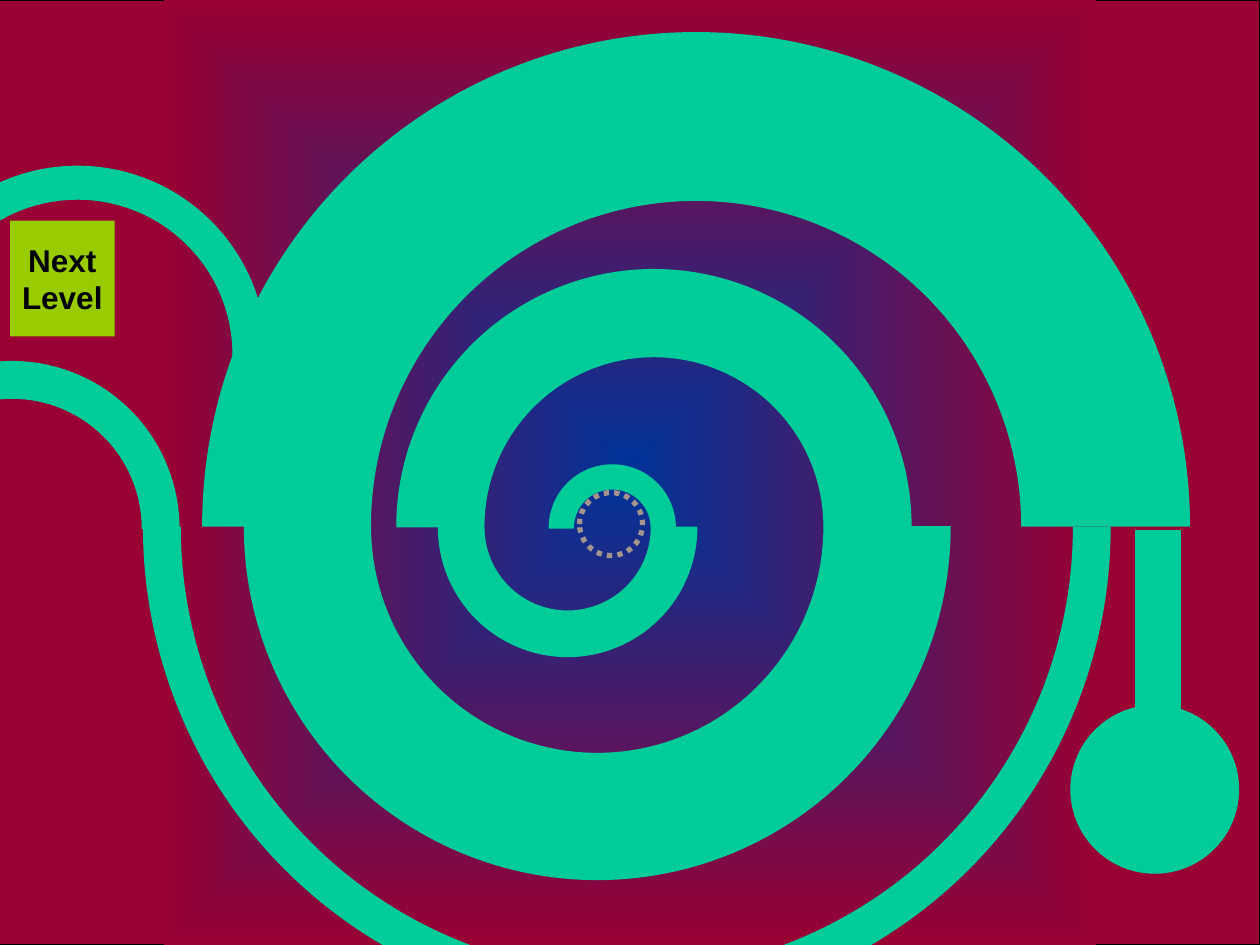
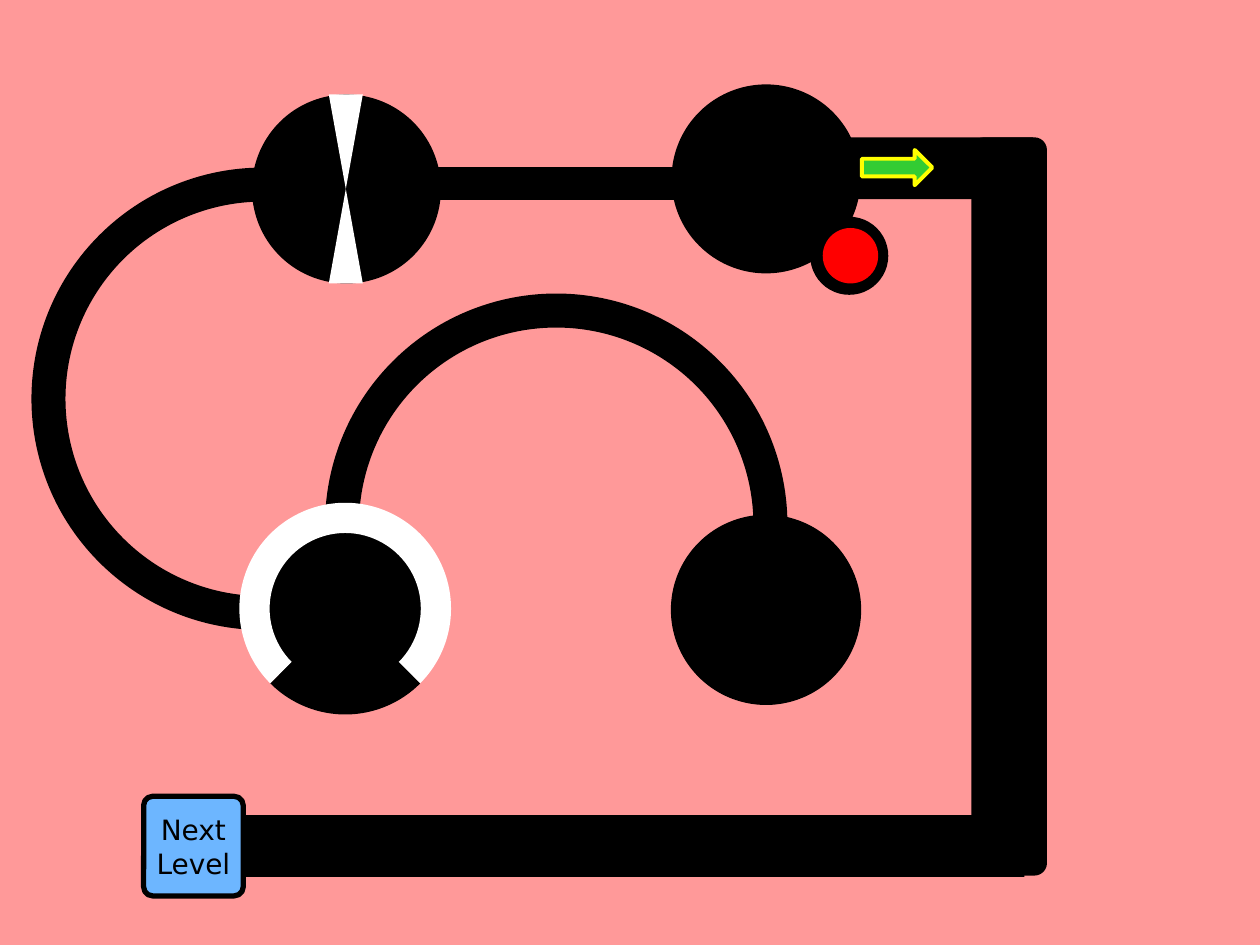
import dataclasses
import typing

import lxml.etree
import pptx
import pptx.dml.color
import pptx.enum.dml
import pptx.enum.shapes
import pptx.enum.text
import pptx.oxml.ns
import pptx.util

Kind = pptx.enum.shapes.MSO_SHAPE
Inches = pptx.util.Inches
ANGLE_UNIT = 0.6


@dataclasses.dataclass(frozen=True)
class Theme:
    crimson: str = "990033"
    navy: str = "003399"
    teal: str = "00CC99"
    lime: str = "99CC00"
    taupe: str = "A5948D"
    pink: str = "FF9999"
    black: str = "000000"
    white: str = "FFFFFF"
    red: str = "FF0000"
    green: str = "33CC33"
    yellow: str = "FFFF00"
    sky: str = "6DB6FF"
    spiral_font: str = "Arial"
    spiral_size: int = 18
    track_font: str = "DejaVu Sans"
    track_size: int = 16
    thin: float = 0.75
    thick: float = 3


THEME = Theme()


@dataclasses.dataclass(frozen=True)
class Piece:
    kind: Kind
    left: float
    top: float
    width: float
    height: float
    fill: typing.Optional[str] = None
    line: typing.Optional[str] = None
    line_width: float = THEME.thin
    adjustments: tuple[float, ...] = ()
    rotation: float = 0
    dotted: bool = False


def disc(left: float, top: float, size: float, fill: typing.Optional[str], **style) -> Piece:
    return Piece(Kind.OVAL, left, top, size, size, fill, **style)


def bar(left: float, top: float, width: float, height: float, fill: str, **style) -> Piece:
    return Piece(Kind.RECTANGLE, left, top, width, height, fill, **style)


def arc(left: float, top: float, size: float, band: float, fill: str,
        start: float = 180, end: float = 0, **style) -> Piece:
    angles = (start * ANGLE_UNIT, end * ANGLE_UNIT)
    return Piece(Kind.BLOCK_ARC, left, top, size, size, fill,
                 adjustments=(*angles, band / size), **style)


def color(value: str) -> pptx.dml.color.RGBColor:
    return pptx.dml.color.RGBColor.from_string(value)


def draw(canvas, piece: Piece):
    shape = canvas.add_shape(piece.kind, Inches(piece.left), Inches(piece.top),
                             Inches(piece.width), Inches(piece.height))
    shape.shadow.inherit = False
    shape.rotation = piece.rotation
    for index, value in enumerate(piece.adjustments):
        shape.adjustments[index] = value
    if piece.fill:
        shape.fill.solid()
        shape.fill.fore_color.rgb = color(piece.fill)
    else:
        shape.fill.background()
    if piece.line:
        shape.line.color.rgb = color(piece.line)
        shape.line.width = pptx.util.Pt(piece.line_width)
        if piece.dotted:
            shape.line.dash_style = pptx.enum.dml.MSO_LINE.ROUND_DOT
    else:
        shape.line.fill.background()
    return shape


def draw_all(canvas, pieces: typing.Iterable[Piece]) -> None:
    for piece in pieces:
        draw(canvas, piece)


def write(box, text: str, *, font: str, size: float, ink: str, bold: bool = False) -> None:
    frame = box.text_frame
    frame.word_wrap = False
    frame.vertical_anchor = pptx.enum.text.MSO_ANCHOR.MIDDLE
    frame.text = text
    for para in frame.paragraphs:
        para.alignment = pptx.enum.text.PP_ALIGN.CENTER
        for span in para.runs:
            span.font.name = font
            span.font.size = pptx.util.Pt(size)
            span.font.bold = bold
            span.font.color.rgb = color(ink)


def glow_from_center(shape, inner: str, outer: str) -> None:
    shape.fill.gradient()
    for stop, value in zip(shape.fill.gradient_stops, (inner, outer)):
        stop.color.rgb = color(value)
    qn = pptx.oxml.ns.qn
    gradient = shape._element.spPr.find(qn("a:gradFill"))
    linear = gradient.find(qn("a:lin"))
    spread = lxml.etree.Element(qn("a:path"), {"path": "shape"})
    center = {side: "50000" for side in "ltrb"}
    lxml.etree.SubElement(spread, qn("a:fillToRect"), center)
    gradient.replace(linear, spread)


def build_spiral(page) -> None:
    canvas = page.shapes
    teal = THEME.teal
    edge = {"line": teal}
    draw(canvas, bar(-0.02, 0, 10.02, 7.5, THEME.crimson, line=THEME.black))
    glow = draw(canvas, bar(1.3, 0, 7.4, 7.5, THEME.navy))
    glow_from_center(glow, THEME.navy, THEME.crimson)
    draw_all(canvas, (
        arc(3.15, 2.14, 4.08, 0.69, teal, **edge),
        arc(3.48, 3.16, 2.05, 0.36, teal, rotation=180, **edge),
        arc(4.36, 3.69, 1, 0.19, teal, **edge),
        disc(8.5, 5.6, 1.33, teal, **edge),
        disc(4.6, 3.91, 0.5, None, line=THEME.taupe, line_width=THEME.thick, dotted=True),
        arc(1.61, 0.26, 7.83, 1.33, teal, **edge),
        arc(1.94, 1.38, 5.6, 1, teal, rotation=180, **edge),
        arc(1.14, 0.35, 7.67, 0.29, teal, rotation=180, **edge),
        arc(-0.88, 1.32, 2.99, 0.26, teal, **edge),
        arc(-1.23, 2.87, 2.65, 0.29, teal, **edge),
        disc(1.85, 2.69, 0.26, teal, **edge),
        bar(9.01, 4.21, 0.36, 1.49, teal, **edge),
    ))
    goal = draw(canvas, bar(0.08, 1.75, 0.83, 0.92, THEME.lime))
    write(goal, "Next\nLevel", font=THEME.spiral_font, size=THEME.spiral_size,
          ink=THEME.black, bold=True)


def build_track(page) -> None:
    canvas = page.shapes
    black = THEME.black
    draw_all(canvas, (
        bar(0, 0, 10, 7.5, THEME.pink),
        bar(3.42, 1.33, 2, 0.25, black, line=black),
        disc(2, 4.08, 1.5, black),
        arc(2.58, 2.33, 3.67, 0.27, black),
        arc(0.25, 1.33, 3.67, 0.27, black, rotation=270),
        disc(2, 0.75, 1.5, black),
        disc(5.33, 0.67, 1.5, black),
        disc(5.33, 4.09, 1.5, black, line=black),
    ))
    gate = canvas.add_group_shape()
    draw_all(gate.shapes, (
        arc(1.9, 3.99, 1.68, 0.24, THEME.white, start=135, end=45),
        arc(1.9, 3.99, 1.68, 0.24, black, start=225, end=315, rotation=180),
    ))
    draw_all(canvas, (
        Piece(Kind.FLOWCHART_COLLATE, 2.61, 0.75, 0.27, 1.5, THEME.white),
        disc(6.43, 1.72, 0.62, black),
        disc(6.53, 1.81, 0.44, THEME.red),
        bar(1.89, 6.47, 6.24, 0.49, black),
        Piece(Kind.ROUNDED_RECTANGLE, 7.71, 1.09, 0.6, 5.86, black),
        bar(6.53, 1.09, 1.67, 0.49, black),
        Piece(Kind.RIGHT_ARROW, 6.84, 1.19, 0.56, 0.28, THEME.green,
              line=THEME.yellow, line_width=2.25, adjustments=(0.5, 0.5)),
    ))
    goal = draw(canvas, Piece(Kind.ROUNDED_RECTANGLE, 1.14, 6.32, 0.79, 0.79, THEME.sky,
                              line=black, line_width=THEME.thick, adjustments=(0.09,)))
    write(goal, "Next\nLevel", font=THEME.track_font, size=THEME.track_size, ink=black)


def main() -> None:
    deck = pptx.Presentation()
    deck.slide_width = Inches(10)
    deck.slide_height = Inches(7.5)
    blank = deck.slide_layouts.get_by_name("Blank")
    for build in (build_spiral, build_track):
        build(deck.slides.add_slide(blank))
    deck.save("out.pptx")


if __name__ == "__main__":
    main()
